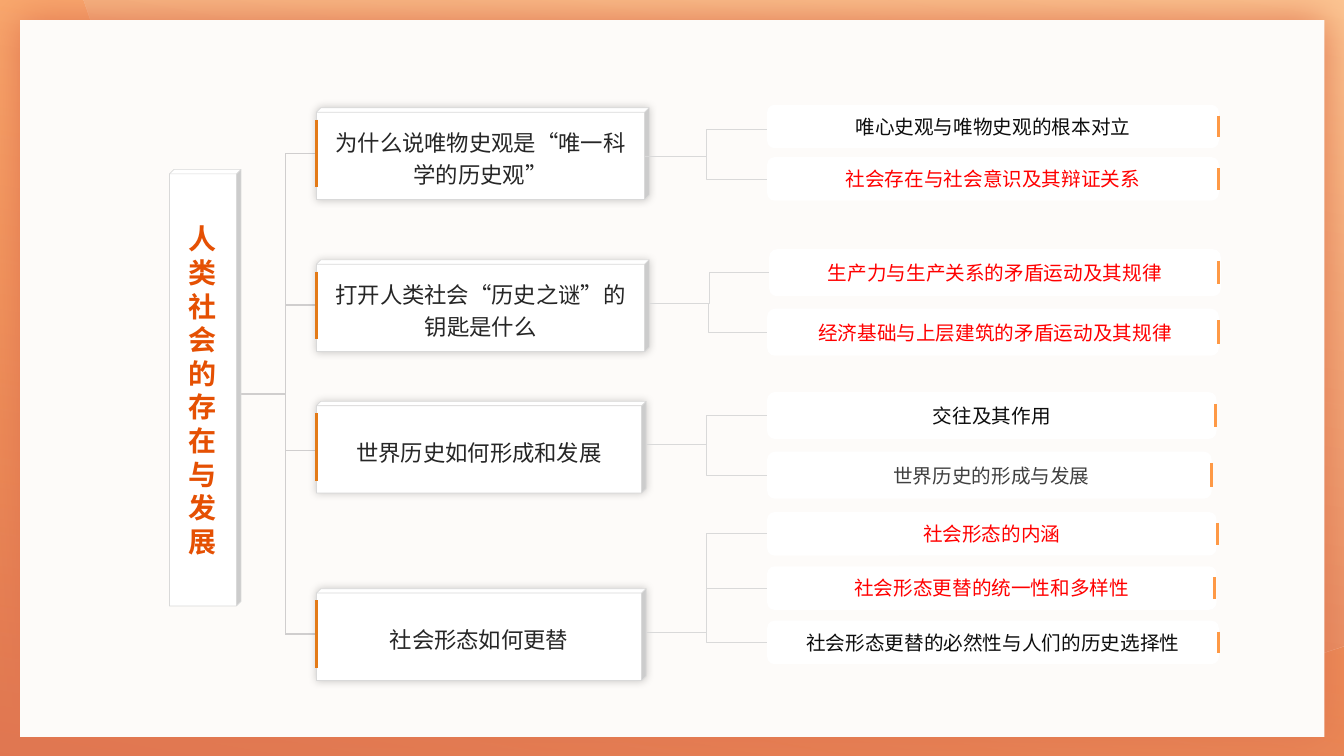
import pptx
import pptx.util
import pptx.dml.color
import pptx.enum.shapes
import pptx.enum.text
import pptx.oxml
import pptx.oxml.ns

Pt = pptx.util.Pt
SHAPE = pptx.enum.shapes.MSO_SHAPE
LINK = pptx.enum.shapes.MSO_CONNECTOR
FONT = "Noto Sans CJK SC"
COLOURS = {
    "white": "FFFFFF", "panel": "FDFBF9", "coral": "E17751", "orange": "FD7201",
    "peach": "FDD5A6", "title": "E55003", "topic": "262626", "black": "0D0D0D",
    "red": "FF0000", "grey": "404040", "trunk": "D0CECE", "edge": "D9D9D9",
    "topic mark": "E37A17", "leaf mark": "FE9946", "shadow": "000000",
}

# Content
TITLE = "人类社会的存在与发展"
# Leaf: text, colour, left, top, width, height, mark x, indent, link shift
TOPICS = [
    {"text": "为什么说唯物史观是“唯一科学的历史观”", "top": 77, "width": 237.6,
     "join": 109.6, "out": (461, 111.6), "leaves": [
         ("唯心史观与唯物史观的根本对立", "black", 548, 74.9, 322.6, 31, 870.5, 0, 2),
         ("社会存在与社会意识及其辩证关系", "red", 548, 112.3, 322.6, 31, 870.5, 0, 0)]},
    {"text": "打开人类社会“历史之谜”的钥匙是什么", "top": 185.6, "width": 237.6,
     "join": 218, "out": (463.5, 216.6), "leaves": [
         ("生产力与生产关系的矛盾运动及其规律", "red", 549.4, 178, 322.6, 33.6, 870.5, 0, 0),
         ("经济基础与上层建筑的矛盾运动及其规律", "red", 548, 220.5, 322.6, 33.6, 870.5, 3, 0)]},
    {"text": "世界历史如何形成和发展", "top": 286.7, "width": 235.4,
     "join": 321.6, "out": (461.5, 317.4), "leaves": [
         ("交往及其作用", "black", 548, 280, 321, 33.6, 868.3, 0, 0),
         ("世界历史的形成与发展", "grey", 548, 322.6, 317.5, 33.6, 865.4, 3, 0)]},
    {"text": "社会形态如何更替", "top": 420.5, "width": 235.4,
     "join": 453, "out": (461.5, 451.6), "leaves": [
         ("社会形态的内涵", "red", 548, 365.8, 321, 31, 869.6, 0, 0),
         ("社会形态更替的统一性和多样性", "red", 548, 404.6, 321, 31, 867.6, 0, 0),
         ("社会形态更替的必然性与人们的历史选择性", "black", 548, 443.4, 322.6, 31, 870.5, 0, 0)]},
]
TOPIC_LEFT, TOPIC_HEIGHT, TRUNK_X = 226.1, 65.5, 203.8

deck = pptx.Presentation()
deck.slide_width, deck.slide_height = Pt(960), Pt(540)
page = deck.slides.add_slide(deck.slide_layouts[6])


def rgb(name):
    return pptx.dml.color.RGBColor.from_string(COLOURS[name])


def element(xml):
    head, rest = xml.split(">", 1)
    return pptx.oxml.parse_xml(f"{head} {pptx.oxml.ns.nsdecls('a')}>{rest}")


def add_box(kind, left, top, width, height, fill, edge=None):
    box = page.shapes.add_shape(kind, Pt(left), Pt(top), Pt(width), Pt(height))
    box.shadow.inherit = False
    box.fill.solid()
    box.fill.fore_color.rgb = rgb(fill)
    if edge:
        box.line.color.rgb = rgb(edge)
        box.line.width = Pt(0.5)
    else:
        box.line.fill.background()
    return box


def set_gradient(box, end):
    """Coral to a half-transparent colour, rising at 280 degrees."""
    box.fill.solid()
    properties = box._element.spPr
    old = properties.find(pptx.oxml.ns.qn("a:solidFill"))
    properties.replace(old, element(
        '<a:gradFill rotWithShape="1"><a:gsLst>'
        f'<a:gs pos="0"><a:srgbClr val="{COLOURS["coral"]}"/></a:gs>'
        f'<a:gs pos="100000"><a:srgbClr val="{COLOURS[end]}"><a:alpha val="50000"/></a:srgbClr></a:gs>'
        '</a:gsLst><a:lin ang="16800000" scaled="0"/></a:gradFill>'))


def set_shadow(box, colour, alpha, blur, angle=0):
    effects = box._element.spPr.find(pptx.oxml.ns.qn("a:effectLst"))
    effects.append(element(
        f'<a:outerShdw blurRad="{Pt(blur)}" dist="0" dir="{angle * 60000}" algn="ctr" rotWithShape="0">'
        f'<a:srgbClr val="{COLOURS[colour]}"><a:alpha val="{alpha * 1000}"/></a:srgbClr></a:outerShdw>'))


def write(box, text, size, colour, bold=False, spacing=None, indent=0):
    frame = box.text_frame
    frame.word_wrap = True
    frame.vertical_anchor = pptx.enum.text.MSO_ANCHOR.MIDDLE
    para = frame.paragraphs[0]
    para.alignment = pptx.enum.text.PP_ALIGN.CENTER
    if spacing:
        para.line_spacing = spacing
    if indent:
        para._p.get_or_add_pPr().set("marL", str(Pt(indent)))
    span = para.add_run()
    span.text = text
    span.font.size, span.font.bold, span.font.name = Pt(size), bold, FONT
    span.font.color.rgb = rgb(colour)
    span.font._element.append(element(f'<a:ea typeface="{FONT}"></a:ea>'))


def add_line(start, end, colour, weight, kind=LINK.STRAIGHT):
    line = page.shapes.add_connector(kind, *map(Pt, start + end))
    line.line.color.rgb = rgb(colour)
    line.line.width = Pt(weight)
    line._element.spPr.append(element("<a:effectLst></a:effectLst>"))


def curve(a, b, c, d, steps=24):
    for step in range(1, steps + 1):
        t = step / steps
        u = 1 - t
        yield tuple(u**3 * p + 3 * u * u * t * q + 3 * u * t * t * r + t**3 * s
                    for p, q, r, s in zip(a, b, c, d))


# Background, sweep and panel
set_gradient(add_box(SHAPE.RECTANGLE, 0, 0, 960, 540, "coral"), "orange")
corner, low, tip = (946.8, 465.1), (735.8, 496.8), (70.6, 31.7)
outline = [(960, 0), (960, 460.8), corner]
outline += curve(corner, (879.8, 486), (809.3, 496.8), low)
outline += curve(low, (429.8, 496.8), (169.9, 303.1), tip)
builder = page.shapes.build_freeform(Pt(59.8), 0)
builder.add_line_segments([(Pt(x), Pt(y)) for x, y in outline])
sweep = builder.convert_to_shape()
sweep.shadow.inherit = False
sweep.line.fill.background()
set_gradient(sweep, "peach")
panel = add_box(SHAPE.RECTANGLE, 14.4, 14.4, 931.7, 511.9, "panel")
set_shadow(panel, "coral", 100, 30)

# Trunk
joins = [topic["join"] for topic in TOPICS]
for join in joins:
    add_line((TRUNK_X, join), (TOPIC_LEFT + 100, join), "trunk", 1)
add_line((TRUNK_X, joins[0]), (TRUNK_X, joins[-1]), "trunk", 1)
add_line((TRUNK_X, 281.4), (172, 281.4), "trunk", 1)

# Title block
title = add_box(SHAPE.CUBE, 121, 121, 51.1, 311.8, "white", "edge")
title.adjustments[0] = 0.063
write(title, TITLE, 20, "title", bold=True)

# Topics with their leaves
for topic in TOPICS:
    top = topic["top"]
    block = add_box(SHAPE.CUBE, TOPIC_LEFT, top, topic["width"], TOPIC_HEIGHT, "white", "edge")
    block.adjustments[0] = 0.048
    set_shadow(block, "shadow", 20, 6, 315)
    write(block, topic["text"], 16, "topic", spacing=1.2)
    add_line((TOPIC_LEFT, top + 8.4), (TOPIC_LEFT, top + 56.8), "topic mark", 2)
    for text, colour, left, leaf_top, width, height, mark, indent, shift in topic["leaves"]:
        leaf = add_box(SHAPE.ROUNDED_RECTANGLE, left, leaf_top, width, height, "white")
        write(leaf, text, 14, colour, indent=indent)
        add_line((mark, leaf_top + height / 4), (mark, leaf_top + height * 3 / 4), "leaf mark", 2)
        add_line(topic["out"], (left, leaf_top + height / 2 + shift), "edge", 0.5, LINK.ELBOW)

deck.save("out.pptx")
